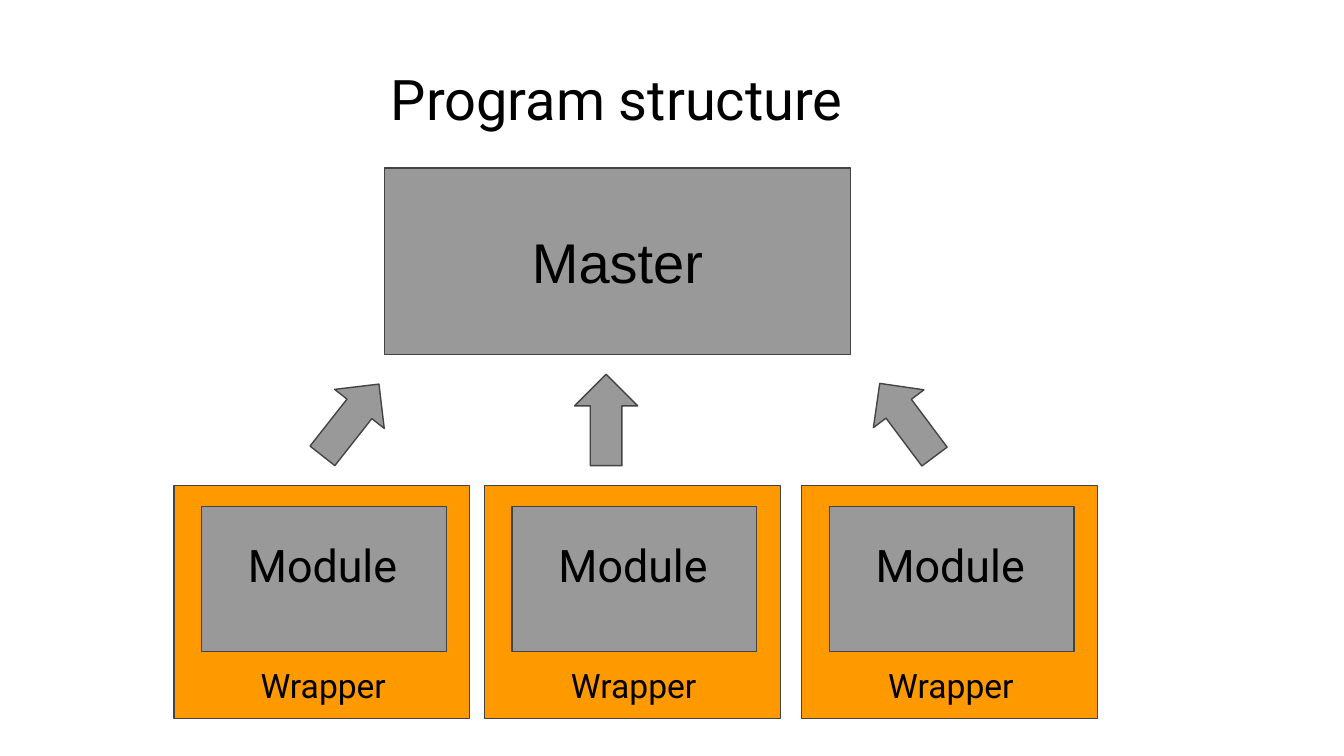
"""Build the program structure slide: three wrapped modules feeding a master."""
from dataclasses import dataclass

from pptx import Presentation
from pptx.dml.color import RGBColor
from pptx.enum.shapes import MSO_SHAPE
from pptx.enum.text import MSO_ANCHOR, MSO_AUTO_SIZE, PP_ALIGN
from pptx.util import Inches, Pt

RECTANGLE = MSO_SHAPE.RECTANGLE
ARROW = MSO_SHAPE.RIGHT_ARROW
TOP = MSO_ANCHOR.TOP
MIDDLE = MSO_ANCHOR.MIDDLE
CENTER = PP_ALIGN.CENTER
NO_AUTOFIT = MSO_AUTO_SIZE.NONE
TITLE_ONLY = 5

BLACK = "000000"
GRAY = "999999"
ORANGE = "FF9900"
OUTLINE = "434343"


@dataclass(frozen=True)
class Area:
    left: float
    top: float
    width: float
    height: float

    def lengths(self) -> list:
        return [Inches(value) for value in (self.left, self.top, self.width, self.height)]


@dataclass(frozen=True)
class Arrow:
    left: float
    rotation: float


WRAPPER_LEFTS = (1.53, 3.84, 6.2)
ARROWS = (Arrow(2.27, 308.2), Arrow(4.17, 270), Arrow(6.41, 233.2))


def color(value: str) -> RGBColor:
    return RGBColor.from_string(value)


def write(box, text: str, size: int, font_name: str = "Roboto", anchor=TOP) -> None:
    frame = box.text_frame
    frame.text = text
    frame.word_wrap = True
    frame.auto_size = NO_AUTOFIT
    frame.vertical_anchor = anchor
    frame.margin_left = frame.margin_right = Inches(0.1)
    frame.margin_top = frame.margin_bottom = Inches(0.1)
    paragraph = frame.paragraphs[0]
    paragraph.alignment = CENTER
    paragraph.font.name = font_name
    paragraph.font.size = Pt(size)
    paragraph.font.color.rgb = color(BLACK)


def add_block(page, kind, area: Area, fill: str, rotation: float = 0):
    block = page.shapes.add_shape(kind, *area.lengths())
    block.rotation = rotation
    block.shadow.inherit = False
    block.fill.solid()
    block.fill.fore_color.rgb = color(fill)
    block.line.color.rgb = color(OUTLINE)
    block.line.width = Pt(0.75)
    return block


def add_label(page, area: Area, text: str, size: int) -> None:
    write(page.shapes.add_textbox(*area.lengths()), text, size)


def add_module(page, left: float) -> None:
    add_block(page, RECTANGLE, Area(left, 3.38, 1.73, 2.2), ORANGE, 90)
    add_block(page, RECTANGLE, Area(left + 0.34, 3.4, 1.08, 1.82), GRAY, 90)
    add_label(page, Area(left + 0.15, 3.9, 1.44, 0.66), "Module", 24)
    add_label(page, Area(left + 0.12, 4.85, 1.51, 0.36), "Wrapper", 18)


def main() -> None:
    deck = Presentation()
    deck.slide_width = Inches(10)
    deck.slide_height = deck.slide_width * 9 // 16
    page = deck.slides.add_slide(deck.slide_layouts[TITLE_ONLY])

    title = page.shapes.title
    title.left, title.top, title.width, title.height = Area(1.01, 0.38, 7.16, 0.79).lengths()
    write(title, "Program structure", 30)

    for left in WRAPPER_LEFTS:
        add_module(page, left)

    master = add_block(page, RECTANGLE, Area(2.86, 1.25, 3.47, 1.39), GRAY)
    write(master, "Master", 30, "Arial", MIDDLE)

    for arrow in ARROWS:
        add_block(page, ARROW, Area(arrow.left, 2.89, 0.68, 0.47), GRAY, arrow.rotation)

    deck.save("out.pptx")


if __name__ == "__main__":
    main()
